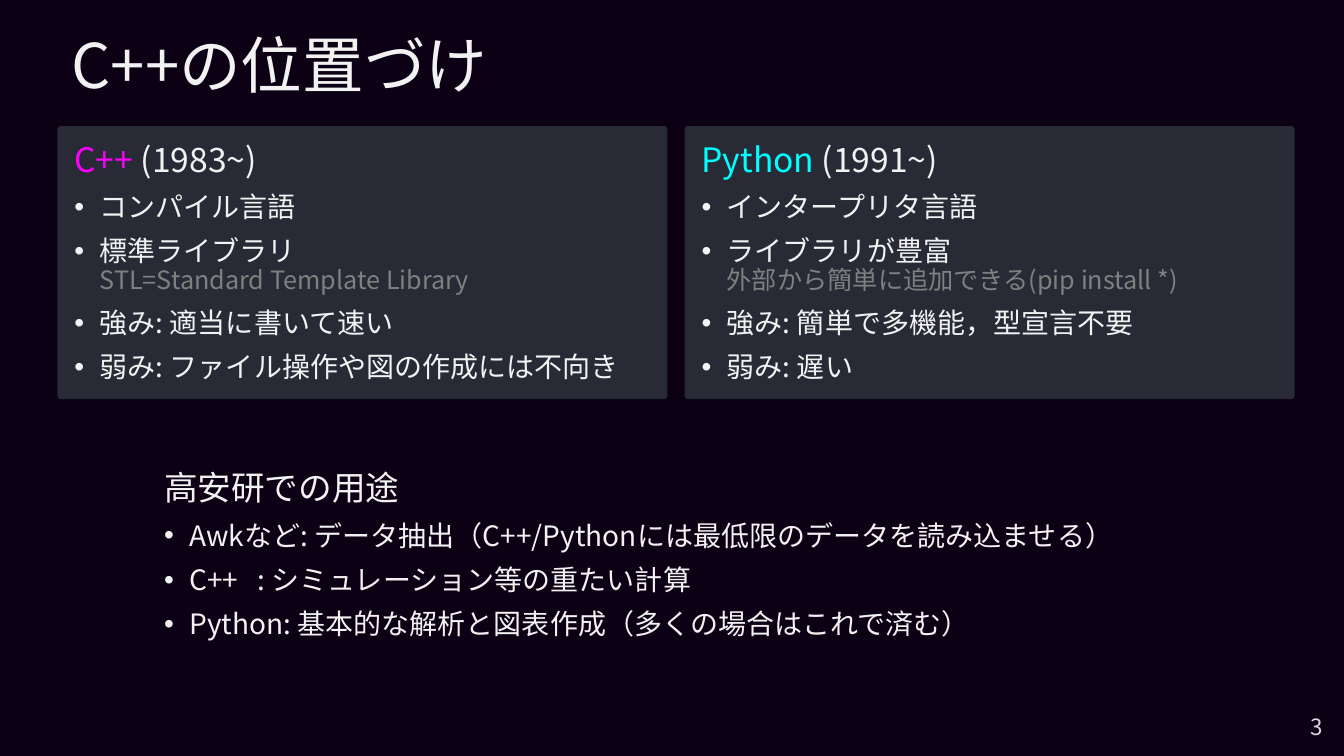
from lxml import etree
from pptx import Presentation
from pptx import util as u
from pptx.dml.color import RGBColor
from pptx.enum import shapes, text
from pptx.oxml.ns import qn

COLORS = {
    "night": "0B0014",
    "panel": "282A36",
    "body": "F2F2F2",
    "muted": "808080",
    "number": "D9D9D9",
    "cpp": "FF00FF",
    "python": "00FFFF",
}
FONT = "Noto Sans CJK JP"
CELL = 0.1  # inches per grid column and row
PANEL_LEFT, PANEL_PITCH = 5.7, 62.2
TEXT_INDENT = 0.7

LANGUAGES = [
    ("C++", "cpp", " (1983~)", [
        "コンパイル言語",
        ("標準ライブラリ", "STL=Standard Template Library"),
        "強み: 適当に書いて速い",
        "弱み: ファイル操作や図の作成には不向き",
    ]),
    ("Python", "python", " (1991~)", [
        "インタープリタ言語",
        ("ライブラリが豊富", "外部から簡単に追加できる(pip install *)"),
        "強み: 簡単で多機能，型宣言不要",
        "弱み: 遅い",
    ]),
]
USES = [
    ("Awkなど", ": データ抽出（C++/Pythonには最低限のデータを読み込ませる）"),
    ("C++", ": シミュレーション等の重たい計算"),
    ("Python", ": 基本的な解析と図表作成（多くの場合はこれで済む）"),
]


def apply(target, formats):
    for name, value in formats.items():
        setattr(target, name, value)


def cells(*lengths):
    """Convert grid columns or rows to lengths on the slide."""
    return [u.Inches(length * CELL) for length in lengths]


class SlideBuilder:
    def __init__(self, deck):
        self.slide = deck.slides.add_slide(deck.slide_layouts[5])
        fill = self.slide.background.fill
        fill.solid()
        fill.fore_color.rgb = self.color("night")

    def color(self, name):
        return RGBColor.from_string(COLORS[name])

    def run(self, paragraph, words, size, color="body", spacing=None):
        run = paragraph.add_run()
        run.text = words
        apply(run.font, {"size": u.Pt(size), "name": FONT})
        run.font.color.rgb = self.color(color)
        properties = run.font._element
        etree.SubElement(properties, qn("a:ea"), typeface=FONT)
        if spacing:
            properties.set("spc", str(spacing * 100))

    def title(self, words, *box):
        title = self.slide.shapes.title
        apply(title, dict(zip(("left", "top", "width", "height"), cells(*box))))
        apply(title.text_frame, {
            "word_wrap": True,
            "auto_size": text.MSO_AUTO_SIZE.NONE,
            "vertical_anchor": text.MSO_ANCHOR.MIDDLE,
        })
        paragraph = title.text_frame.paragraphs[0]
        apply(paragraph, {"alignment": text.PP_ALIGN.LEFT, "line_spacing": 0.9})
        self.run(paragraph, words, 44)

    def panel(self, *box):
        panel = self.slide.shapes.add_shape(
            shapes.MSO_SHAPE.ROUNDED_RECTANGLE, *cells(*box))
        panel.adjustments[0] = 0.013
        panel.shadow.inherit = False
        panel.fill.solid()
        panel.fill.fore_color.rgb = self.color("panel")
        panel.line.fill.background()

    def text_box(self, *box):
        frame = self.slide.shapes.add_textbox(*cells(*box)).text_frame
        frame.word_wrap = True
        return frame

    def heading(self, frame, *runs):
        """Fill the first paragraph from (words, colour) pairs."""
        paragraph = frame.paragraphs[0]
        paragraph.line_spacing = 0.9
        for words, color in runs:
            self.run(paragraph, words, 24, color)

    def bullet(self, frame):
        paragraph = frame.add_paragraph()
        apply(paragraph, {"line_spacing": 0.9, "space_before": u.Pt(10)})
        properties = paragraph._p.get_or_add_pPr()
        properties.set("marL", str(u.Inches(0.25)))
        properties.set("indent", str(-u.Inches(0.25)))
        etree.SubElement(properties, qn("a:buFont"), typeface="Arial")
        etree.SubElement(properties, qn("a:buChar"), char="•")
        return paragraph

    def language(self, column, name, color, years, features):
        left = PANEL_LEFT + column * PANEL_PITCH
        self.panel(left, 12.5, 60.5, 27.1)
        frame = self.text_box(left + TEXT_INDENT, 13.7, 59.8, 25.1)
        self.heading(frame, (name, color), (years, "body"))
        for feature in features:
            paragraph = self.bullet(frame)
            if isinstance(feature, str):
                self.run(paragraph, feature, 20)
                continue
            point, detail = feature
            self.run(paragraph, point, 20)
            paragraph.add_line_break()
            self.run(paragraph, detail, 18, "muted")

    def uses(self, heading, uses, *box):
        frame = self.text_box(*box)
        self.heading(frame, (heading, "body"))
        for tool, purpose in uses:
            paragraph = self.bullet(frame)
            self.run(paragraph, tool, 20)
            if tool == "C++":
                self.run(paragraph, " ", 20, spacing=9)  # widens the gap before the colon
            self.run(paragraph, purpose, 20)

    def page_number(self, number, *box):
        frame = self.text_box(*box)
        frame.vertical_anchor = text.MSO_ANCHOR.MIDDLE
        paragraph = frame.paragraphs[0]
        paragraph.alignment = text.PP_ALIGN.RIGHT
        self.run(paragraph, number, 16, "number")


def main():
    deck = Presentation()
    apply(deck, {"slide_width": u.Inches(13.33), "slide_height": u.Inches(7.5)})
    builder = SlideBuilder(deck)
    builder.title("C++の位置づけ", 6.1, 1.9, 92, 9.7)
    for column, language in enumerate(LANGUAGES):
        builder.language(column, *language)
    builder.uses("高安研での用途", USES, 15.3, 46.3, 102.7, 17.8)
    builder.page_number("3", 121.2, 70.1, 11, 4)
    deck.save("out.pptx")


if __name__ == "__main__":
    main()
